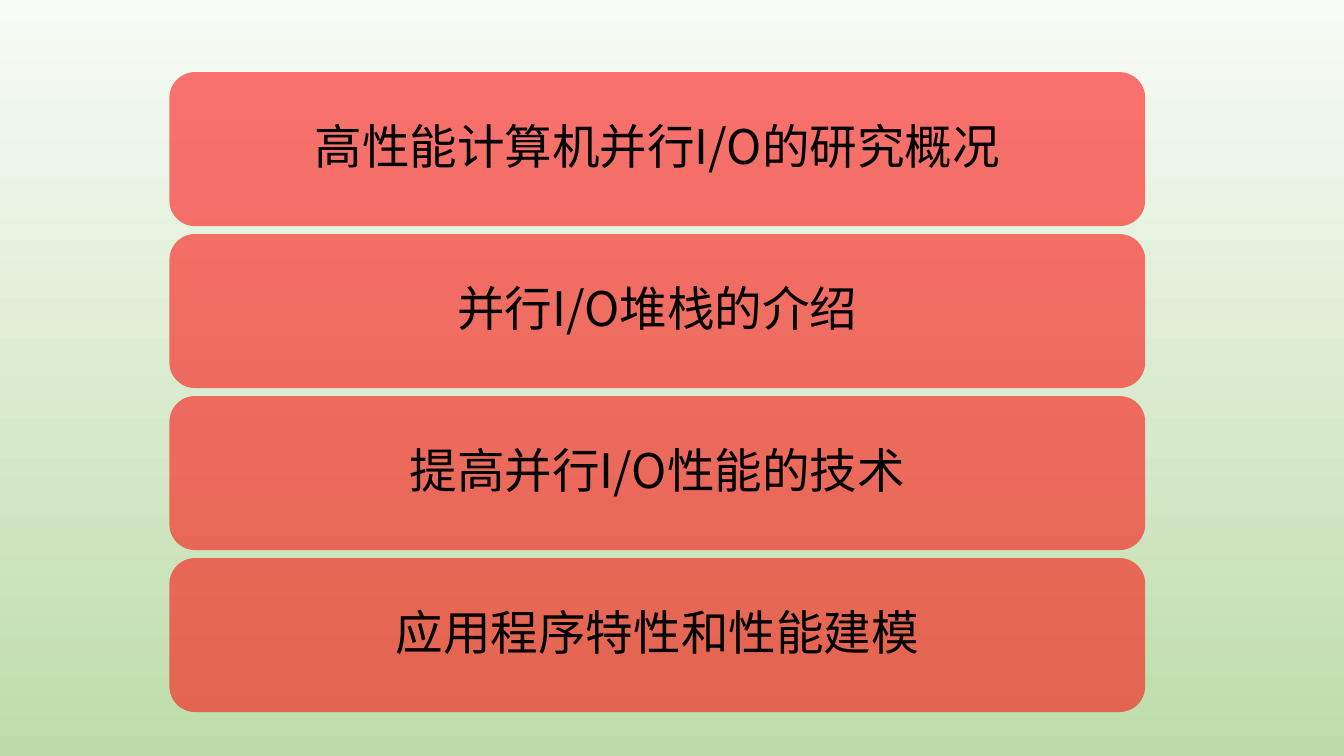
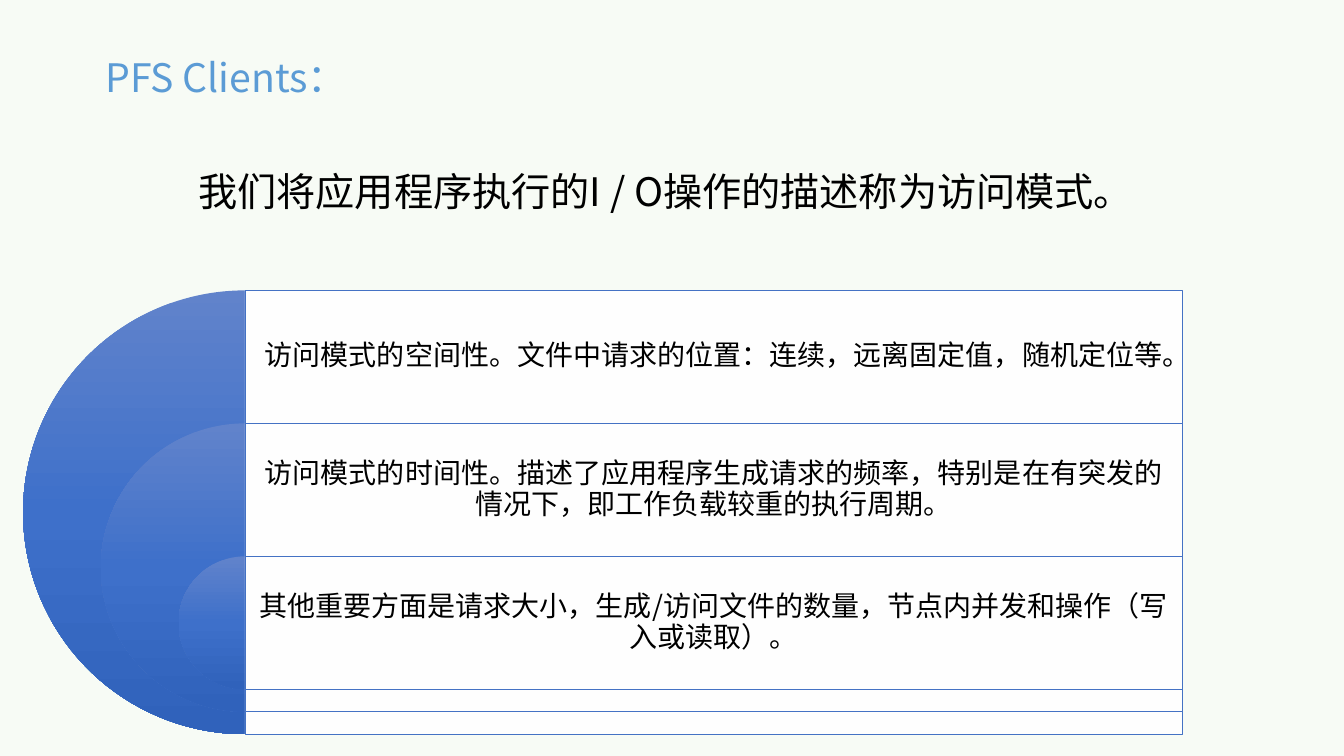
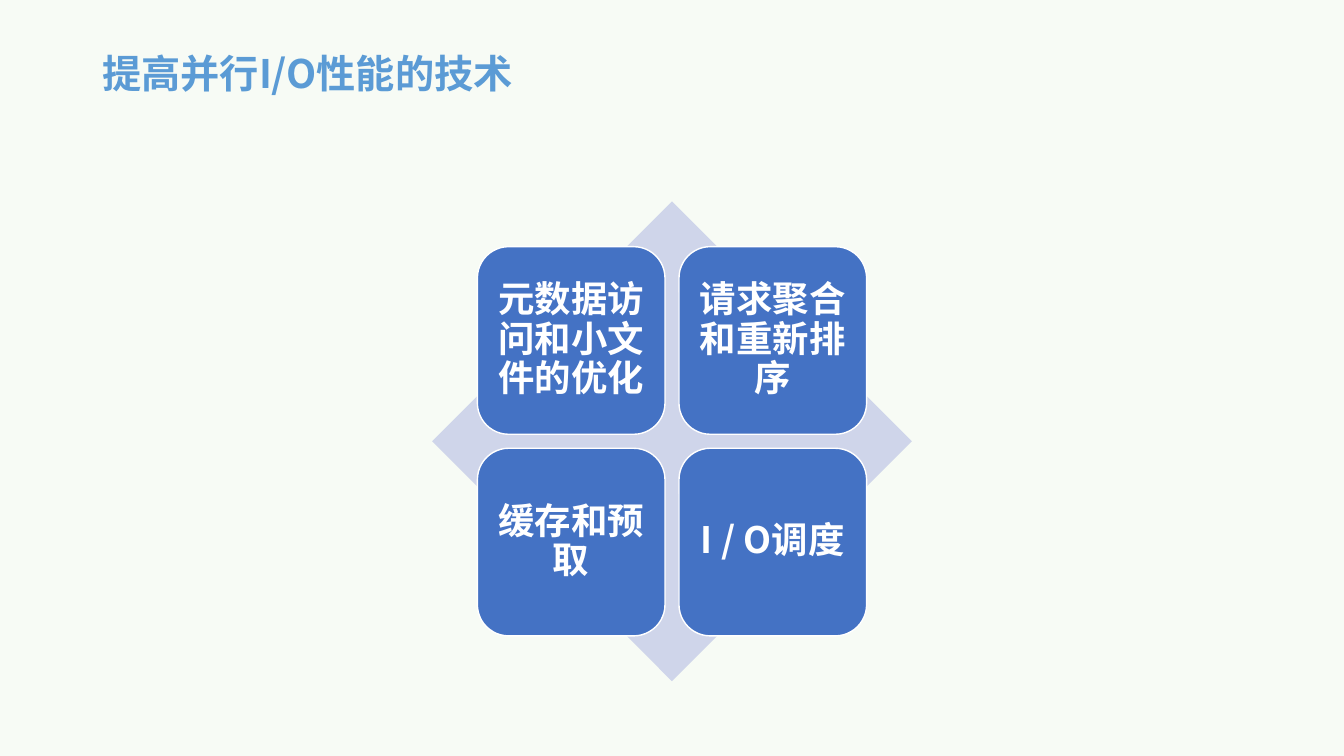
import copy
from dataclasses import dataclass

import lxml.etree
import pptx
import pptx.dml.color
import pptx.dml.fill
import pptx.enum.dml
import pptx.enum.lang
import pptx.enum.shapes
import pptx.enum.text
import pptx.oxml.ns
import pptx.presentation
import pptx.shapes.autoshape
import pptx.slide
import pptx.text.text
import pptx.util

Pt = pptx.util.Pt
Shapes = pptx.enum.shapes.MSO_SHAPE
Align = pptx.enum.text.PP_ALIGN
Anchor = pptx.enum.text.MSO_ANCHOR
qualified = pptx.oxml.ns.qn

SLIDE_WIDTH, SLIDE_HEIGHT = 960, 540
TITLE_ONLY_LAYOUT, BLANK_LAYOUT = 5, 6
FONT = "Noto Sans CJK SC"
COLORS = {
    "pale": "F7FBF5",
    "sky": "F8FBF6",
    "meadow": "BEDCAA",
    "title": "5B9BD5",
    "blue": "4472C4",
    "pie_top": "6183CB",
    "pie_middle": "3E70CA",
    "pie_bottom": "3062BB",
    "diamond": "CFD5EA",
    "red": "FF0000",
    "white": "FFFFFF",
    "black": "000000",
}


@dataclass(frozen=True)
class Box:
    left: float
    top: float
    width: float
    height: float

    def lengths(self) -> tuple:
        return Pt(self.left), Pt(self.top), Pt(self.width), Pt(self.height)


@dataclass(frozen=True)
class TextStyle:
    size: float
    color: str
    bold: bool = False
    align: Align = Align.CENTER
    line_spacing: float = 0.9


TITLE = TextStyle(28, "title", align=Align.LEFT)
BOLD_TITLE = TextStyle(28, "title", bold=True, align=Align.LEFT)
STATEMENT = TextStyle(28, "black", align=Align.LEFT, line_spacing=1.0)
BAR_TEXT = TextStyle(34, "black")
ROW_TEXT = TextStyle(20, "black")
TILE_TEXT = TextStyle(26, "white", bold=True)


# Shared helpers
def rgb(name: str) -> pptx.dml.color.RGBColor:
    return pptx.dml.color.RGBColor.from_string(COLORS[name])


def set_gradient(fill: pptx.dml.fill.FillFormat, names: list[str]) -> None:
    """Vertical gradient through evenly spaced colours, top to bottom."""
    fill.gradient()
    fill.gradient_angle = 270
    first = fill.gradient_stops[0]._gs
    stop_list = first.getparent()
    while len(stop_list) < len(names):
        stop_list.append(copy.deepcopy(first))
    for index, (stop, name) in enumerate(zip(fill.gradient_stops, names)):
        stop.color.rgb = rgb(name)
        stop.position = index / (len(names) - 1)


def set_opacity(shape: pptx.shapes.autoshape.Shape, percent: int) -> None:
    color = shape._element.spPr.find(qualified("a:solidFill"))[0]
    lxml.etree.SubElement(color, qualified("a:alpha"), val=str(percent * 1000))


def write(frame: pptx.text.text.TextFrame, text: str, style: TextStyle,
          margins: tuple = (7.2, 3.6, 7.2, 3.6), wrap: bool = True) -> None:
    """Fill a frame with one run; margins are left, top, right, bottom."""
    frame.auto_size = pptx.enum.text.MSO_AUTO_SIZE.NONE
    frame.word_wrap = wrap
    frame.vertical_anchor = Anchor.MIDDLE
    (frame.margin_left, frame.margin_top,
     frame.margin_right, frame.margin_bottom) = map(Pt, margins)
    paragraph = frame.paragraphs[0]
    paragraph.alignment = style.align
    paragraph.line_spacing = style.line_spacing
    run = paragraph.add_run()
    run.text = text
    font = run.font
    font.size = Pt(style.size)
    font.bold = style.bold
    font.color.rgb = rgb(style.color)
    font.name = FONT
    font.language_id = pptx.enum.lang.MSO_LANGUAGE_ID.SIMPLIFIED_CHINESE
    lxml.etree.SubElement(font._element, qualified("a:ea"), typeface=FONT)


def add_shape(slide: pptx.slide.Slide, kind: Shapes, box: Box,
              fill: str | None = None, line: str | None = None,
              line_width: float = 1) -> pptx.shapes.autoshape.Shape:
    shape = slide.shapes.add_shape(kind, *box.lengths())
    shape.shadow.inherit = False
    if fill:
        shape.fill.solid()
        shape.fill.fore_color.rgb = rgb(fill)
    if line:
        shape.line.color.rgb = rgb(line)
        shape.line.width = Pt(line_width)
    else:
        shape.line.fill.background()
    return shape


def add_titled_slide(presentation: pptx.presentation.Presentation, text: str,
                     style: TextStyle, left: float, top: float) -> pptx.slide.Slide:
    slide = presentation.slides.add_slide(presentation.slide_layouts[TITLE_ONLY_LAYOUT])
    slide.background.fill.solid()
    slide.background.fill.fore_color.rgb = rgb("pale")
    title = slide.shapes.title
    title.left, title.top, title.width, title.height = Box(left, top, 828, 40).lengths()
    write(title.text_frame, text, style)
    return slide


# Slide 1: agenda bars
def build_agenda(presentation: pptx.presentation.Presentation) -> None:
    slide = presentation.slides.add_slide(presentation.slide_layouts[BLANK_LAYOUT])
    set_gradient(slide.background.fill, ["sky", "meadow"])
    topics = [
        "高性能计算机并行I/O的研究概况",
        "并行I/O堆栈的介绍",
        "提高并行I/O性能的技术",
        "应用程序特性和性能建模",
    ]
    height, gap = 110, 5.7
    for index, topic in enumerate(topics):
        box = Box(121, 51.5 + index * (height + gap), 697, height)
        bar = add_shape(slide, Shapes.ROUNDED_RECTANGLE, box, "red")
        set_opacity(bar, 54)
        write(bar.text_frame, topic, BAR_TEXT)


# Slide 2: nested half discs, each with a row of text
def build_access_patterns(presentation: pptx.presentation.Presentation) -> None:
    slide = add_titled_slide(presentation, "PFS Clients：", TITLE, 68, 37)
    aspects = [
        "访问模式的空间性。文件中请求的位置：连续，远离固定值，随机定位等。",
        "访问模式的时间性。描述了应用程序生成请求的频率，特别是在有突发的情况下，即工作负载较重的执行周期。",
        "其他重要方面是请求大小，生成/访问文件的数量，节点内并发和操作（写入或读取）。",
    ]
    axis, first_top, row_height, strip, margin = 175, 207.4, 95, 16, 5.8
    for index, aspect in enumerate(aspects):
        top = first_top + index * row_height
        levels_below = len(aspects) - 1 - index
        size = row_height + levels_below * (row_height + strip)
        pie = add_shape(slide, Shapes.PIE, Box(axis - size / 2, top, size, size))
        pie.adjustments[0], pie.adjustments[1] = 54, 162
        set_gradient(pie.fill, ["pie_top", "pie_middle", "pie_bottom"])
        panel = add_shape(slide, Shapes.RECTANGLE, Box(axis, top, 669.6, size),
                          "white", "blue", 0.5)
        set_opacity(panel, 90)
        write(panel.text_frame, aspect, ROW_TEXT,
              (margin, margin, margin, size - row_height + margin))

    statement = slide.shapes.add_textbox(*Box(134.6, 112, 691, 48).lengths())
    write(statement.text_frame, "我们将应用程序执行的I / O操作的描述称为访问模式。",
          STATEMENT, wrap=False)


# Slide 3: four tiles on a diamond
def build_techniques(presentation: pptx.presentation.Presentation) -> None:
    slide = add_titled_slide(presentation, "提高并行I/O性能的技术", BOLD_TITLE, 66, 34)
    center_x, center_y, diamond, tile, gap = SLIDE_WIDTH / 2, 315.2, 342.8, 134, 10
    add_shape(slide, Shapes.DIAMOND,
              Box(center_x - diamond / 2, center_y - diamond / 2, diamond, diamond),
              "diamond")
    techniques = ["元数据访问和小文件的优化", "请求聚合和重新排序", "缓存和预取", "I / O调度"]
    for index, technique in enumerate(techniques):
        row, column = divmod(index, 2)
        left = center_x - gap / 2 - tile + column * (tile + gap)
        top = center_y - gap / 2 - tile + row * (tile + gap)
        shape = add_shape(slide, Shapes.ROUNDED_RECTANGLE, Box(left, top, tile, tile),
                          "blue", "white")
        write(shape.text_frame, technique, TILE_TEXT, (8, 8, 8, 8))


def main() -> None:
    presentation = pptx.Presentation()
    presentation.slide_width = Pt(SLIDE_WIDTH)
    presentation.slide_height = Pt(SLIDE_HEIGHT)
    build_agenda(presentation)
    build_access_patterns(presentation)
    build_techniques(presentation)
    presentation.save("out.pptx")


if __name__ == "__main__":
    main()
